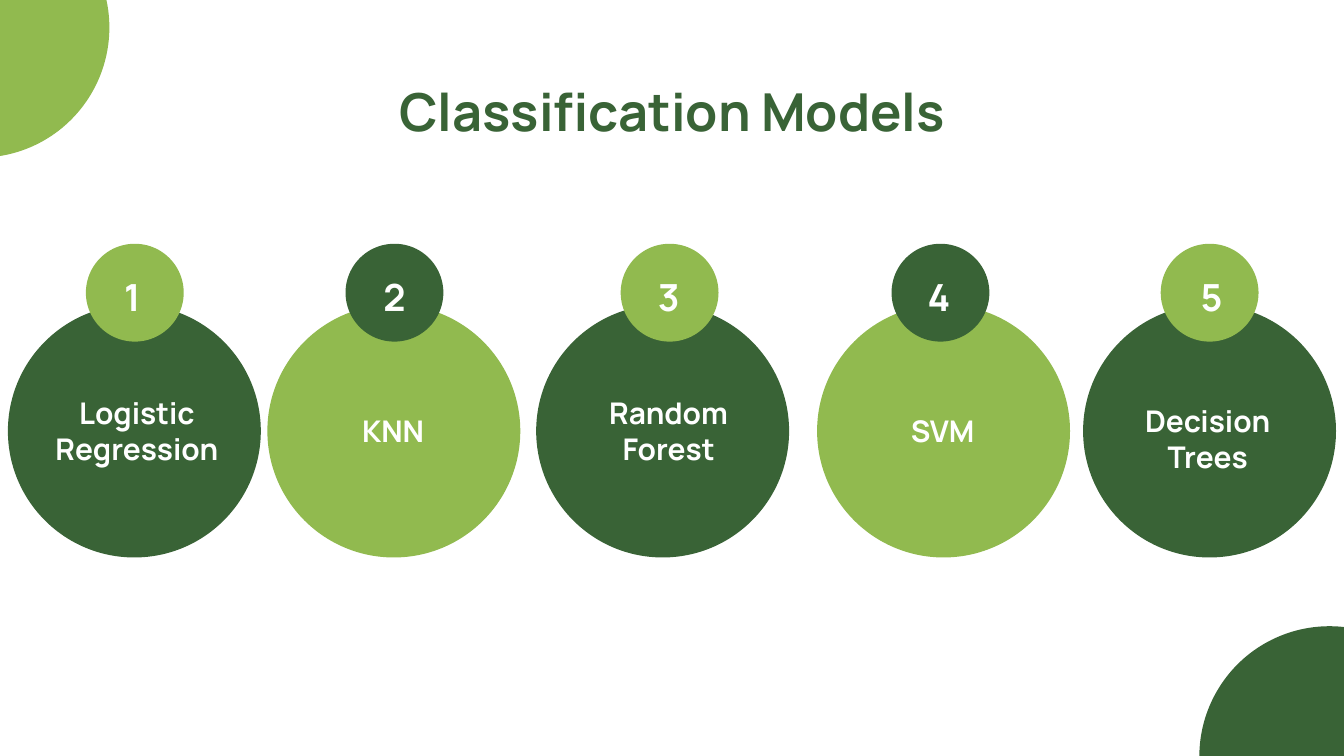
from pptx import Presentation
from pptx.dml.color import RGBColor
from pptx.enum import shapes, text
from pptx.util import Pt

COLORS = {"light": "91BA4F", "dark": "396336", "white": "FFFFFF"}
FONT = "Manrope"

TITLE = "Classification Models"
# label lines, disc centre, badge centre, number centre, label centre, label top, label width
MODELS = [
    (["Logistic", "Regression"], 72, 72.2, 70.9, 73.4, 204.5, 111),
    (["KNN"], 211, 211.3, 211.3, 210.6, 213.8, 100),
    (["Random Forest"], 355, 358.7, 358.2, 358.2, 204.5, 100),
    (["SVM"], 505.5, 503.8, 503, 505, 213.8, 100),
    (["Decision Trees"], 648, 648, 649, 647, 208.8, 100),
]
# colour, left, top
CORNERS = [("light", -80.9, -55), ("dark", 642.5, 335.5)]

WIDTH, HEIGHT = 720, 405
CORNER_SIZE = 139.5
DISC_SIZE, DISC_TOP = 135.5, 163.2
BADGE_SIZE, BADGE_TOP = 52.4, 130.6
NUMBER_WIDTH, NUMBER_TOP = 38, 139.7

deck = Presentation()
deck.slide_width, deck.slide_height = Pt(WIDTH), Pt(HEIGHT)
page = deck.slides.add_slide(deck.slide_layouts[6])


def rgb(name):
    return RGBColor.from_string(COLORS[name])


def add_circle(color, left, top, size):
    circle = page.shapes.add_shape(
        shapes.MSO_SHAPE.OVAL, Pt(left), Pt(top), Pt(size), Pt(size))
    circle.shadow.inherit = False
    circle.fill.solid()
    circle.fill.fore_color.rgb = rgb(color)
    circle.line.fill.background()


def add_text(lines, center, top, width, height, size, color="white"):
    box = page.shapes.add_textbox(
        Pt(center - width / 2), Pt(top), Pt(width), Pt(height))
    frame = box.text_frame
    frame.word_wrap = True
    frame.vertical_anchor = text.MSO_ANCHOR.TOP
    for side in ("left", "top", "right", "bottom"):
        setattr(frame, f"margin_{side}", Pt(7.2))
    frame.text = "\n".join(lines)
    for para in frame.paragraphs:
        para.alignment = text.PP_ALIGN.CENTER
        span = para.runs[0]
        for name, value in {"name": FONT, "size": Pt(size), "bold": True}.items():
            setattr(span.font, name, value)
        span.font.color.rgb = rgb(color)


for color, left, top in CORNERS:
    add_circle(color, left, top, CORNER_SIZE)

add_text([TITLE], WIDTH / 2, 35.3, 671, 45.4, 28, "dark")

for number, model in enumerate(MODELS, 1):
    label, disc, badge, digit, center, top, width = model
    disc_color, badge_color = ("dark", "light") if number % 2 else ("light", "dark")
    add_circle(disc_color, disc - DISC_SIZE / 2, DISC_TOP, DISC_SIZE)
    add_circle(badge_color, badge - BADGE_SIZE / 2, BADGE_TOP, BADGE_SIZE)
    add_text(label, center, top, width, 34 if label[0].isupper() else 53, 16)
    add_text([str(number)], digit, NUMBER_TOP, NUMBER_WIDTH, 34, 20)

deck.save("out.pptx")
